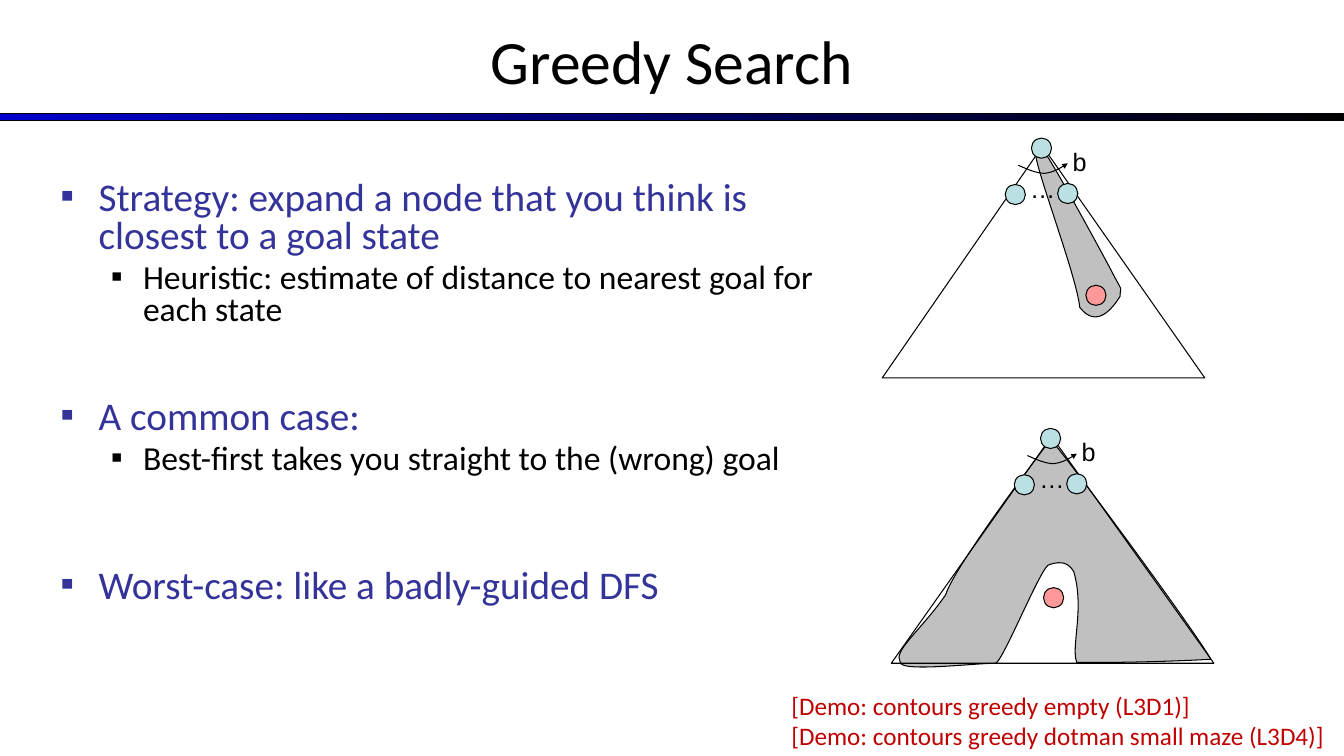
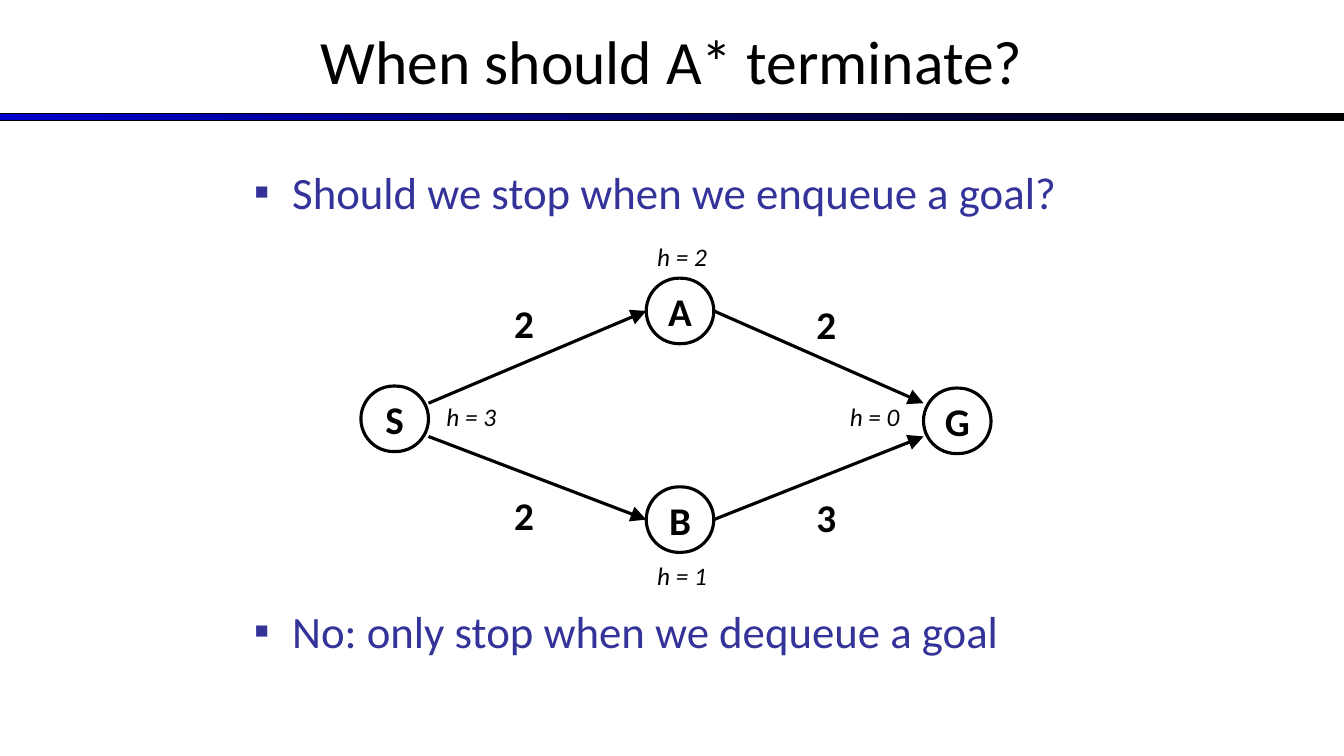
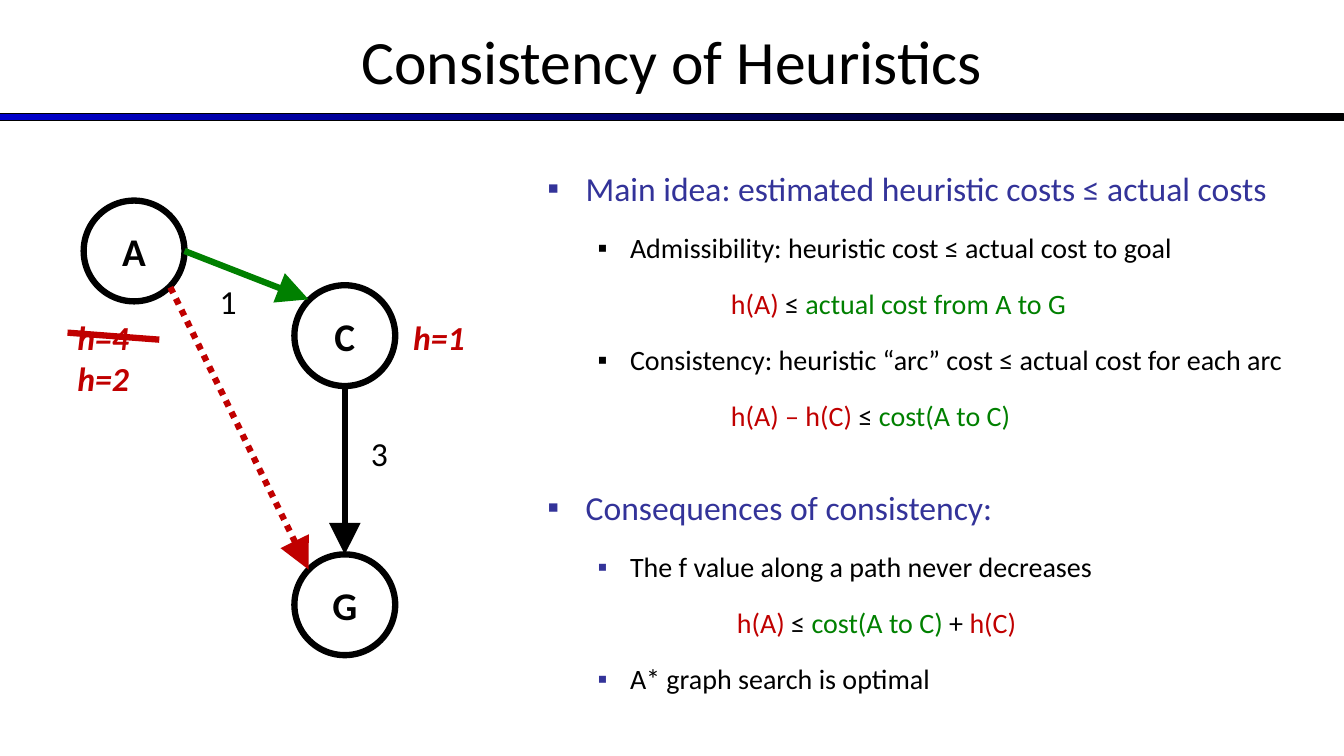
from lxml import etree
from pptx import Presentation
from pptx import util as u
from pptx.dml.color import RGBColor
from pptx.enum import dml, shapes, text
from pptx.oxml import ns

BLACK, WHITE, INDIGO = "000000", "FFFFFF", "333399"
RED, GREEN, GREY = "C00000", "008000", "C0C0C0"
NODE_BLUE, GOAL_PINK, BAND_BLUE = "BBE0E3", "FF9999", "0000CC"
FONT = "Calibri"
LEFT, RIGHT = 1, 3  # connection sites

# Left margin and hanging indent of the two bullet levels
INDENTS = [(0.38, -0.38), (0.82, -0.32)]


def colour(value):
    return RGBColor.from_string(value)


def add_xml(parent, tag, **attributes):
    return etree.SubElement(parent, ns.qn(tag), **attributes)


# ---- Shared drawing helpers ----

def style_shape(shape, fill=None, line=BLACK, width=0.75):
    shape.shadow.inherit = False
    if fill:
        shape.fill.solid()
        shape.fill.fore_color.rgb = colour(fill)
    else:
        shape.fill.background()
    shape.line.color.rgb = colour(line)
    shape.line.width = u.Pt(width)


def style_span(span, size, shade=BLACK, bold=False, italic=False, font=FONT):
    span.font.name = font
    span.font.size = u.Pt(size)
    span.font.bold = bold
    span.font.italic = italic
    span.font.color.rgb = colour(shade)


def add_text(page, box, words, size, anchor=text.MSO_ANCHOR.TOP,
             align=text.PP_ALIGN.LEFT, wrap=True, **look):
    frame = page.shapes.add_textbox(*map(u.Inches, box)).text_frame
    frame.word_wrap = wrap
    frame.vertical_anchor = anchor
    frame.text = words
    for para in frame.paragraphs:
        para.alignment = align
        for span in para.runs:
            style_span(span, size, **look)


def add_node(page, kind, box, name="", fill=None, width=0.75):
    node = page.shapes.add_shape(kind, *map(u.Inches, box))
    style_shape(node, fill, width=width)
    if name:
        frame = node.text_frame
        frame.word_wrap = False
        frame.vertical_anchor = text.MSO_ANCHOR.MIDDLE
        frame.text = name
        frame.paragraphs[0].alignment = text.PP_ALIGN.CENTER
        style_span(frame.paragraphs[0].runs[0], 28, bold=True)
    return node


def add_arrowhead(line, size):
    add_xml(line._get_or_add_ln(), "a:tailEnd", type="triangle", w=size, len=size)


def add_line(page, start, end, shade=BLACK, width=4.5, arrow=True, dash=None):
    line = page.shapes.add_connector(
        shapes.MSO_CONNECTOR.STRAIGHT, *map(u.Inches, start + end))
    line.line.color.rgb = colour(shade)
    line.line.width = u.Pt(width)
    if dash:
        line.line.dash_style = dash
    if arrow:
        add_arrowhead(line.line, "lg")
    add_xml(line._element.spPr, "a:effectLst")
    return line


def add_outline(page, left, top, points, close=True, fill=None):
    placed = [(u.Inches(left + x), u.Inches(top + y)) for x, y in points]
    builder = page.shapes.build_freeform(*placed[0])
    builder.add_line_segments(placed[1:], close=close)
    outline = builder.convert_to_shape()
    style_shape(outline, fill)
    return outline


def add_curve(page, left, top, points, **options):
    """Points are a start, then triples of two handles and an end."""
    outline = add_outline(page, left, top, points, **options)
    segments = list(outline._element.iter(ns.qn("a:lnTo")))
    for i in range(0, len(points) - 1, 3):
        bend = etree.Element(ns.qn("a:cubicBezTo"))
        segments[i].addprevious(bend)
        for segment in segments[i:i + 3]:
            bend.append(segment[0])
            segment.getparent().remove(segment)
    return outline


def add_bullets(page, box, items, sizes, spacing=1.0):
    """Each item: level, list of (words, colour), then options."""
    frame = page.shapes.add_textbox(*map(u.Inches, box)).text_frame
    frame.word_wrap = True
    for i, (level, spans, options) in enumerate(items):
        para = frame.add_paragraph() if i else frame.paragraphs[0]
        size = sizes[level]
        para.line_spacing = spacing
        para.space_before = u.Pt(options.get("gap", 0.2 * size) if i else 0)
        for words, shade in spans:
            span = para.add_run()
            span.text = words
            style_span(span, size, shade)
        margin, hang = INDENTS[level]
        props = para._p.get_or_add_pPr()
        if "formula" in options:
            margin, hang = options["formula"], 0
            add_xml(props, "a:buNone")
        else:
            mark = add_xml(props, "a:buClr")
            add_xml(mark, "a:srgbClr", val=options.get("mark", spans[0][1]))
            add_xml(props, "a:buFont", typeface="Arial")
            add_xml(props, "a:buChar", char="▪")
        props.set("marL", str(u.Inches(margin)))
        props.set("indent", str(u.Inches(hang)))


def head(words, **options):
    return 0, [(words, INDIGO)], options


def sub(words, **options):
    return 1, [(words, BLACK)], options


def formula(*spans, margin=1.82):
    return 1, spans, {"formula": margin}


def new_page(deck, title):
    page = deck.slides.add_slide(deck.slide_layouts[6])
    band = page.shapes.add_shape(
        shapes.MSO_SHAPE.RECTANGLE, 0, u.Inches(1.13), deck.slide_width, u.Inches(0.07))
    style_shape(band)
    band.fill.gradient()
    band.fill.gradient_angle = 0
    for stop, shade in zip(band.fill.gradient_stops, (BAND_BLUE, BLACK)):
        stop.color.rgb = colour(shade)
    add_text(page, (0, -0.03, 13.33, 1.25), title, 44,
             anchor=text.MSO_ANCHOR.MIDDLE, align=text.PP_ALIGN.CENTER)
    return page


# ---- Greedy search ----

NARROW_CONTOUR = [
    (1.65, 0.12), (1.77, 0.31), (2.16, 1.02), (2.28, 1.25),
    (2.4, 1.48), (2.36, 1.37), (2.36, 1.49), (2.29, 1.6), (2.13, 1.82), (1.96, 1.6),
    (1.93, 1.31), (1.58, 0.38), (1.53, 0.13), (1.47, -0.12), (1.53, -0.07), (1.65, 0.12)]
WIDE_CONTOUR = [
    (1.64, 0.1), (1.92, 0.45), (2.99, 1.9), (3.17, 2.21),
    (3.03, 2.22), (2.32, 2.25), (1.84, 2.24), (1.78, 2.09), (1.92, 1.71), (1.81, 1.34),
    (1.76, 1.26), (1.7, 1.23), (1.57, 1.27), (1.5, 1.25), (1.09, 2.28), (1.03, 2.25),
    (0.82, 2.25), (0.09, 2.34), (0.09, 2.24), (0.01, 2.13), (0.3, 1.92), (0.54, 1.57),
    (0.62, 1.31), (1.34, 0.35), (1.52, 0.11), (1.7, -0.14), (1.62, 0.1), (1.64, 0.1)]
BRANCH_ARC = [(1.35, 0.19), (1.44, 0.23), (1.53, 0.27), (1.61, 0.27),
              (1.69, 0.26), (1.77, 0.22), (1.84, 0.17)]


def search_tree(page, box, contour, goal):
    left, top, width, height = box
    add_curve(page, left, top, contour, fill=GREY)
    add_outline(page, left, top, [(0, height), (width, height), (1.59, 0)])
    arc = add_curve(page, left, top, BRANCH_ARC, close=False)
    add_arrowhead(arc.line, "sm")
    for x, y, words, wide in ((1.37, 0.22, "…", 0.3), (1.79, -0.05, "b", 0.33)):
        add_text(page, (left + x, top + y, wide, 0.4), words, 18, font="Arial")
    nodes = [((1.22, 0.38), NODE_BLUE), ((1.74, 0.37), NODE_BLUE),
             (goal, GOAL_PINK), ((1.48, -0.08), NODE_BLUE)]
    for (x, y), fill in nodes:
        add_node(page, shapes.MSO_SHAPE.OVAL, (left + x, top + y, 0.2, 0.2), fill=fill)


def greedy_page(deck):
    page = new_page(deck, "Greedy Search")
    add_bullets(page, (0.5, 1.75, 7.75, 5.33), [
        head("Strategy: expand a node that you think is closest to a goal state"),
        sub("Heuristic: estimate of distance to nearest goal for each state"),
        head("A common case:", gap=51.7),
        sub("Best-first takes you straight to the (wrong) goal"),
        head("Worst-case: like a badly-guided DFS", gap=65.7),
    ], sizes=(28, 24), spacing=0.8)
    search_tree(page, (8.75, 1.45, 3.2, 2.3), NARROW_CONTOUR, goal=(2.02, 1.38))
    search_tree(page, (8.84, 4.33, 3.2, 2.25), WIDE_CONTOUR, goal=(1.51, 1.5))
    add_text(page, (7.75, 6.8, 5.58, 0.7),
             "[Demo: contours greedy empty (L3D1)]\n"
             "[Demo: contours greedy dotman small maze (L3D4)]", 18, shade=RED)


# ---- A* termination ----

def diamond_graph(page, left, top):
    places = {"S": (0, 1.07), "B": (2.83, 2.07), "A": (2.83, 0), "G": (5.58, 1.09)}
    nodes = {}
    for name, (x, y) in places.items():
        nodes[name] = add_node(page, shapes.MSO_SHAPE.ROUNDED_RECTANGLE,
                               (left + x, top + y, 0.67, 0.65), name, width=2.25)
        nodes[name].adjustments[0] = 0.5
    # Arrows leave S and reach G above and below their middles
    for name, y in (("A", 1.24), ("B", 1.57)):
        start, end = (left + 0.67, top + y), (left + 5.58, top + y)
        middle = (left + 3, top + y)
        add_line(page, start, middle, width=2.25).end_connect(nodes[name], LEFT)
        add_line(page, middle, end, width=2.25).begin_connect(nodes[name], RIGHT)
    costs = [("2", 1.42, 0.16), ("3", 4.42, 2.08), ("2", 4.42, 0.17), ("2", 1.42, 2.07)]
    for words, x, y in costs:
        add_text(page, (left + x, top + y, 0.5, 0.57), words, 28, bold=True)
    estimates = [("h = 1", 2.84, 2.75), ("h = 2", 2.84, -0.42),
                 ("h = 0", 4.75, 1.17), ("h = 3", 0.75, 1.17)]
    for words, x, y in estimates:
        add_text(page, (left + x, top + y, 1, 0.4), words, 18, italic=True)


def termination_page(deck):
    page = new_page(deck, "When should A* terminate?")
    add_bullets(page, (2.42, 1.58, 10.64, 4.49), [
        head("Should we stop when we enqueue a goal?"),
        head("No: only stop when we dequeue a goal", gap=275.2),
    ], sizes=(32,))
    diamond_graph(page, 3.58, 2.76)


# ---- Consistency ----

def consistency_graph(page, left, top):
    def at(x, y):
        return left + x, top + y

    add_line(page, at(2.75, 1.84), at(2.75, 3.51))
    for name, x, y in (("A", 0.16, 0), ("C", 2.25, 0.84), ("G", 2.25, 3.51)):
        add_node(page, shapes.MSO_SHAPE.OVAL, at(x, y) + (1, 1), name, WHITE, 4.5)
    for words, x, y in (("3", 2.91, 2.26), ("1", 1.41, 0.75)):
        add_text(page, at(x, y) + (0.37, 0.5), words, 24, wrap=False)
    for words, x, y in (("h=4", 0, 1.1), ("h=1", 3.33, 1.1), ("h=2", 0, 1.51)):
        add_text(page, at(x, y) + (0.8, 0.5), words, 24, wrap=False,
                 shade=RED, bold=True, italic=True)
    add_line(page, at(1.02, 0.86), at(2.39, 3.66), RED,
             dash=dml.MSO_LINE.ROUND_DOT)
    add_line(page, at(1.16, 0.5), at(2.39, 0.98), GREEN)
    # Strike out the first estimate
    add_line(page, at(0, 1.31), at(0.91, 1.38), RED, arrow=False)


def consistency_page(deck):
    page = new_page(deck, "Consistency of Heuristics")
    add_bullets(page, (5.33, 1.42, 7.58, 3.33), [
        head("Main idea: estimated heuristic costs ≤ actual costs"),
        sub("Admissibility: heuristic cost ≤ actual cost to goal"),
        formula(("h(A) ", RED), ("≤ ", BLACK), ("actual cost from A to G", GREEN)),
        sub("Consistency: heuristic “arc” cost ≤ actual cost for each arc"),
        formula(("h(A) – h(C) ", RED), ("≤ ", BLACK), ("cost(A to C)", GREEN)),
        head("Consequences of consistency:", gap=24.5),
        sub("The f value along a path never decreases", mark=INDIGO),
        formula(("h(A) ", RED), ("≤ ", BLACK), ("cost(A to C) ", GREEN),
                ("+ ", BLACK), ("h(C)", RED), margin=1.88),
        sub("A* graph search is optimal", mark=INDIGO),
    ], sizes=(24, 20), spacing=1.5)
    consistency_graph(page, 0.67, 1.99)


def main():
    deck = Presentation()
    deck.slide_width, deck.slide_height = u.Inches(13.33), u.Inches(7.5)
    greedy_page(deck)
    termination_page(deck)
    consistency_page(deck)
    deck.save("out.pptx")


if __name__ == "__main__":
    main()
